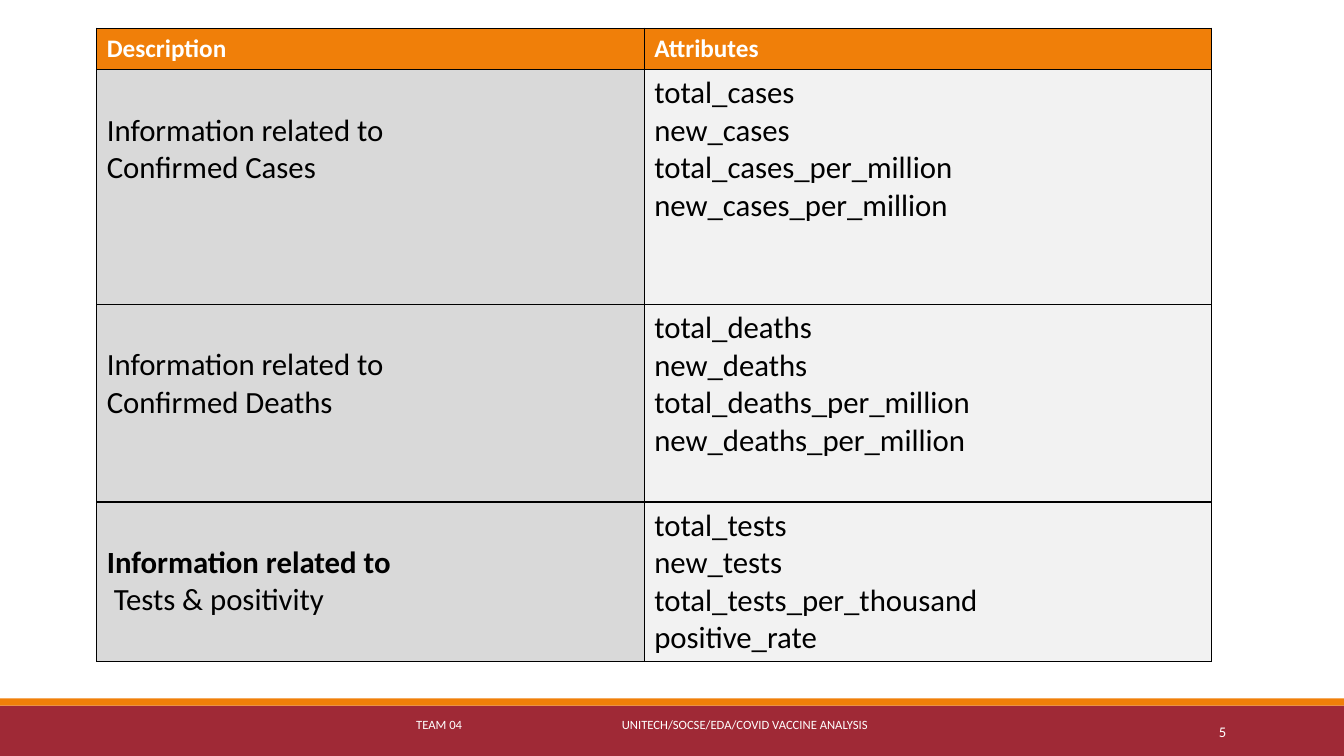
from dataclasses import dataclass

from lxml.etree import SubElement
from pptx import Presentation
from pptx.dml.color import RGBColor
from pptx.enum.shapes import MSO_SHAPE
from pptx.enum.text import MSO_ANCHOR, PP_ALIGN
from pptx.oxml.ns import qn
from pptx.util import Inches, Pt


@dataclass(frozen=True)
class Theme:
    font: str = "Calibri"
    orange: str = "F07F09"
    crimson: str = "9F2936"
    white: str = "FFFFFF"
    black: str = "000000"
    description_fill: str = "D9D9D9"
    attribute_fill: str = "F2F2F2"
    header_size: float = 18
    body_size: float = 22
    footer_size: float = 9
    number_size: float = 10.5


THEME = Theme()
PAGE_WIDTH, PAGE_HEIGHT = 13.33, 7.5
COLUMN_WIDTHS = (5.43, 5.63)
ROW_HEIGHTS = (0.41, 2.33, 1.96, 1.58)
ONE_LINE = 0.37
CELL_MARGIN = 0.05

HEADINGS = ("Description", "Attributes")
# Description lines, attribute names, whether the first line is bold
GROUPS = (
    (("Information related to", "Confirmed Cases"),
     ("total_cases", "new_cases", "total_cases_per_million", "new_cases_per_million"), False),
    (("Information related to", "Confirmed Deaths"),
     ("total_deaths", "new_deaths", "total_deaths_per_million", "new_deaths_per_million"), False),
    (("Information related to", " Tests & positivity"),
     ("total_tests", "new_tests", "total_tests_per_thousand", "positive_rate"), True),
)


def write_text(frame, lines, size, color, bold_lines=(), align=PP_ALIGN.LEFT):
    """Write one paragraph per line; bold_lines holds the indexes set in bold."""
    for index, line in enumerate(lines):
        para = frame.paragraphs[0] if index == 0 else frame.add_paragraph()
        para.alignment = align
        span = para.add_run()
        span.text = line
        span.font.name = THEME.font
        span.font.size = Pt(size)
        span.font.bold = index in bold_lines
        span.font.color.rgb = RGBColor.from_string(color)


def add_band(page, top, height, color):
    band = page.shapes.add_shape(
        MSO_SHAPE.RECTANGLE, 0, Inches(top), Inches(PAGE_WIDTH), Inches(height))
    band.shadow.inherit = False
    band.fill.solid()
    band.fill.fore_color.rgb = RGBColor.from_string(color)
    band.line.fill.background()


def add_label(page, left, top, width, height, text, size, anchor, align=PP_ALIGN.LEFT):
    box = page.shapes.add_textbox(Inches(left), Inches(top), Inches(width), Inches(height))
    box.text_frame.word_wrap = True
    box.text_frame.vertical_anchor = anchor
    write_text(box.text_frame, [text], size, THEME.white, align=align)
    return box


def add_footer(page, top, height):
    # Coloured bands
    stripe = 0.07
    add_band(page, top + stripe, height - stripe, THEME.crimson)
    add_band(page, top, stripe, THEME.orange)

    # Team and topic, set apart by a tab stop
    label_top, label_height = top + 0.13, 0.4
    box = add_label(page, 4.03, label_top, 5.27, label_height,
                    "TEAM 04\tUNITECH/SOCSE/EDA/COVID VACCINE ANALYSIS",
                    THEME.footer_size, MSO_ANCHOR.TOP)
    properties = box.text_frame.paragraphs[0]._p.get_or_add_pPr()
    stops = SubElement(properties, qn("a:tabLst"))
    SubElement(stops, qn("a:tab"), pos=str(Inches(2.04)), algn="l")

    # Page number
    add_label(page, 10.83, label_top, 1.43, label_height, "5",
              THEME.number_size, MSO_ANCHOR.MIDDLE, PP_ALIGN.RIGHT)


def format_cell(cell, fill, top_margin=CELL_MARGIN):
    cell.margin_top = Inches(top_margin)
    cell.margin_bottom = Inches(CELL_MARGIN)
    # Borders come before the fill in the cell properties
    properties = cell._tc.get_or_add_tcPr()
    for side in ("a:lnL", "a:lnR", "a:lnT", "a:lnB"):
        border = SubElement(properties, qn(side), w=str(Pt(1)))
        solid = SubElement(border, qn("a:solidFill"))
        SubElement(solid, qn("a:srgbClr"), val=THEME.black)
    cell.fill.solid()
    cell.fill.fore_color.rgb = RGBColor.from_string(fill)


def add_attribute_table(page, left, top):
    frame = page.shapes.add_table(
        len(ROW_HEIGHTS), len(COLUMN_WIDTHS), Inches(left), Inches(top),
        Inches(sum(COLUMN_WIDTHS)), Inches(sum(ROW_HEIGHTS)))
    table = frame.table
    table.horz_banding = False
    for column, width in zip(table.columns, COLUMN_WIDTHS):
        column.width = Inches(width)
    for row, height in zip(table.rows, ROW_HEIGHTS):
        row.height = Inches(height)

    # Header row
    for cell, heading in zip(table.rows[0].cells, HEADINGS):
        format_cell(cell, THEME.orange)
        write_text(cell.text_frame, [heading], THEME.header_size, THEME.white, bold_lines=(0,))

    # One row per group; descriptions start one line lower
    for index, (description, attributes, is_bold) in enumerate(GROUPS, start=1):
        left_cell, right_cell = table.rows[index].cells
        format_cell(left_cell, THEME.description_fill, CELL_MARGIN + ONE_LINE)
        write_text(left_cell.text_frame, description, THEME.body_size, THEME.black,
                   bold_lines=(0,) if is_bold else ())
        format_cell(right_cell, THEME.attribute_fill)
        write_text(right_cell.text_frame, attributes, THEME.body_size, THEME.black)


def main():
    deck = Presentation()
    deck.slide_width, deck.slide_height = Inches(PAGE_WIDTH), Inches(PAGE_HEIGHT)
    page = deck.slides.add_slide(deck.slide_layouts.get_by_name("Blank"))
    footer_height = 0.57
    add_footer(page, PAGE_HEIGHT - footer_height, footer_height)
    add_attribute_table(page, 0.96, 0.28)
    deck.save("out.pptx")


if __name__ == "__main__":
    main()
